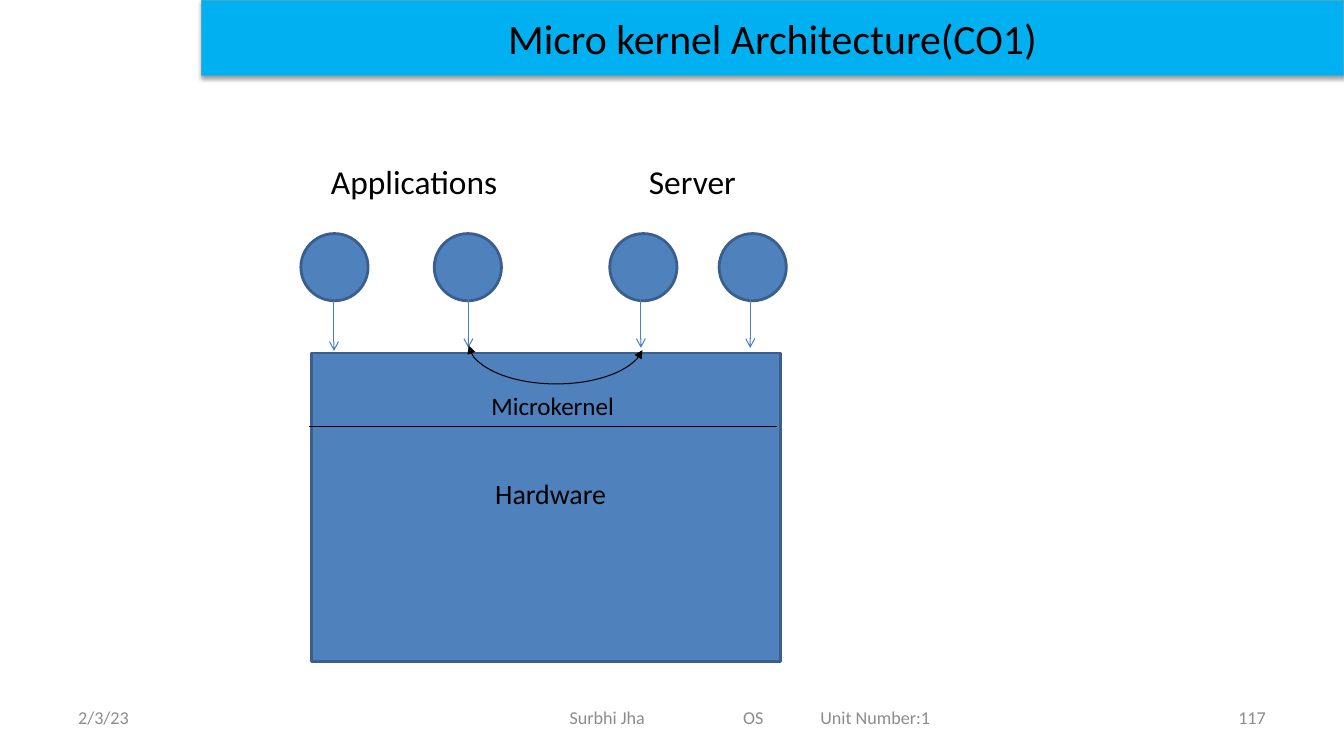
from dataclasses import dataclass

from lxml.etree import SubElement
from pptx import Presentation
from pptx.dml.color import RGBColor
from pptx.enum.shapes import MSO_CONNECTOR, MSO_SHAPE
from pptx.enum.text import MSO_ANCHOR, PP_ALIGN
from pptx.oxml import parse_xml
from pptx.oxml.ns import nsdecls, qn
from pptx.util import Inches, Pt


@dataclass(frozen=True)
class Theme:
    """Colours, font and type sizes of the slide."""
    font: str = "Calibri"
    ink: str = "000000"
    muted: str = "8C8C8C"
    banner: str = "00B0F0"
    banner_line: str = "46AAC5"
    block: str = "4F81BD"
    block_line: str = "3A5F8C"
    arrow: str = "4B7EBC"
    title: int = 30
    heading: int = 24
    hardware: int = 20
    kernel: int = 18
    footer: int = 13


T = Theme()


def write(tf, text, size, color=T.ink, align=PP_ALIGN.LEFT, tabs=()):
    """Put formatted text in a text frame, with optional tab stops in inches."""
    tf.word_wrap = True
    tf.vertical_anchor = MSO_ANCHOR.MIDDLE
    p = tf.paragraphs[0]
    p.alignment = align
    if tabs:
        tab_list = SubElement(p._p.get_or_add_pPr(), qn("a:tabLst"))
        for pos in tabs:
            SubElement(tab_list, qn("a:tab"), pos=str(Inches(pos)), algn="l")
    r = p.add_run()
    r.text = text
    r.font.name, r.font.size = T.font, Pt(size)
    r.font.color.rgb = RGBColor.from_string(color)


def add_label(s, text, box, size, **fmt):
    """Add a text box at box (left, top, width, height)."""
    sp = s.shapes.add_textbox(*map(Inches, box))
    sp.text_frame.margin_left = sp.text_frame.margin_right = Inches(0.11)
    write(sp.text_frame, text, size, **fmt)


def paint(sp, fill, line, width):
    """Set solid fill and outline, without shadow."""
    sp.shadow.inherit = False
    sp.fill.solid()
    sp.fill.fore_color.rgb = RGBColor.from_string(fill)
    sp.line.color.rgb = RGBColor.from_string(line)
    sp.line.width = Pt(width)


def add_block(s, kind, box):
    """Add a blue outlined shape."""
    sp = s.shapes.add_shape(kind, *map(Inches, box))
    paint(sp, T.block, T.block_line, 2)


def add_line(s, start, end, color, tail=None):
    """Add a thin straight line, with an arrowhead if asked."""
    c = s.shapes.add_connector(MSO_CONNECTOR.STRAIGHT, *map(Inches, start + end))
    c.line.color.rgb = RGBColor.from_string(color)
    c.line.width = Pt(0.75)
    if tail:
        SubElement(c.line._get_or_add_ln(), qn("a:tailEnd"), type=tail)
    SubElement(c._element.spPr, qn("a:effectLst"))


def add_banner(s, box):
    """Format the title as a shadowed banner."""
    sp = s.shapes.title
    sp.left, sp.top, sp.width, sp.height = map(Inches, box)
    write(sp.text_frame, "Micro kernel Architecture(CO1)", T.title, align=PP_ALIGN.CENTER)
    sp.fill.solid()
    sp.fill.fore_color.rgb = RGBColor.from_string(T.banner)
    sp.line.color.rgb = RGBColor.from_string(T.banner_line)
    sp.line.width = Pt(0.75)
    sp._element.spPr.append(parse_xml(
        f'<a:effectLst {nsdecls("a")}><a:outerShdw blurRad="{Pt(3.1)}" dist="{Pt(1.6)}" '
        'dir="5400000" rotWithShape="0"><a:srgbClr val="000000"><a:alpha val="38000"/>'
        '</a:srgbClr></a:outerShdw></a:effectLst>'))


def add_processes(s, box):
    """Draw the labelled application and server circles with their arrows."""
    x, y, w, h = box
    d = 0.67
    for text, dx, width in (("Applications", 0.19, 2.2), ("Server", 3.36, 1.4)):
        add_label(s, text, (x + dx, y, width, 0.5), T.heading)
    for dx, arrow_dx, lift in ((0, 0.33, 0), (1.33, 1.67, 0.03),
                               (3.08, 3.39, 0.03), (4.17, 4.48, 0.03)):
        add_block(s, MSO_SHAPE.OVAL, (x + dx, y + 0.77, d, d))
        bottom = y + h - lift
        add_line(s, (x + arrow_dx, bottom - 0.5), (x + arrow_dx, bottom), T.arrow, "arrow")


def add_machine(s, box):
    """Draw the microkernel over the hardware, with the message arc on top."""
    x, y, w, h = box
    add_block(s, MSO_SHAPE.RECTANGLE, box)
    arc = s.shapes.add_shape(MSO_SHAPE.ARC, *map(Inches, (x + 1.56, y - 0.52, 1.75, 0.83)))
    arc.adjustments[0], arc.adjustments[1] = 3.06, 106.77
    arc.shadow.inherit = False
    arc.fill.background()
    arc.line.color.rgb = RGBColor.from_string(T.ink)
    arc.line.width = Pt(0.75)
    for end in ("a:headEnd", "a:tailEnd"):
        SubElement(arc.line._get_or_add_ln(), qn(end), type="triangle")
    add_line(s, (x - 0.03, y + 0.73), (x + w - 0.03, y + 0.73), T.ink)
    for text, dx, dy, size in (("Hardware", 1.17, 1.18, T.hardware),
                               ("Microkernel", 1.19, 0.3, T.kernel)):
        add_label(s, text, (x + dx, y + dy, 2.42, 0.44), size, align=PP_ALIGN.CENTER)


def add_footer(s, box):
    """Write date, lecture details and slide number along the bottom."""
    x, y, w, h = box
    for text, left, width, fmt in (
            ("2/3/23", x, 3.13, {}),
            ("Surbhi Jha\tOS\tUnit Number:1", x + 4.9, 4, {"tabs": (1.73, 2.5)}),
            ("117", x + w - 3.13, 3.13, {"align": PP_ALIGN.RIGHT})):
        add_label(s, text, (left, y, width, h), T.footer, color=T.muted, **fmt)


def main():
    """Build and save the slide."""
    prs = Presentation()
    prs.slide_width, prs.slide_height = Inches(13.4), Inches(7.5)
    s = prs.slides.add_slide(prs.slide_layouts[5])
    add_banner(s, (2.01, 0, 11.39, 0.75))
    add_processes(s, (3, 1.56, 4.84, 1.94))
    add_machine(s, (3.11, 3.52, 4.67, 3.08))
    add_footer(s, (0.67, 6.95, 12.06, 0.4))
    prs.save("out.pptx")


if __name__ == "__main__":
    main()
